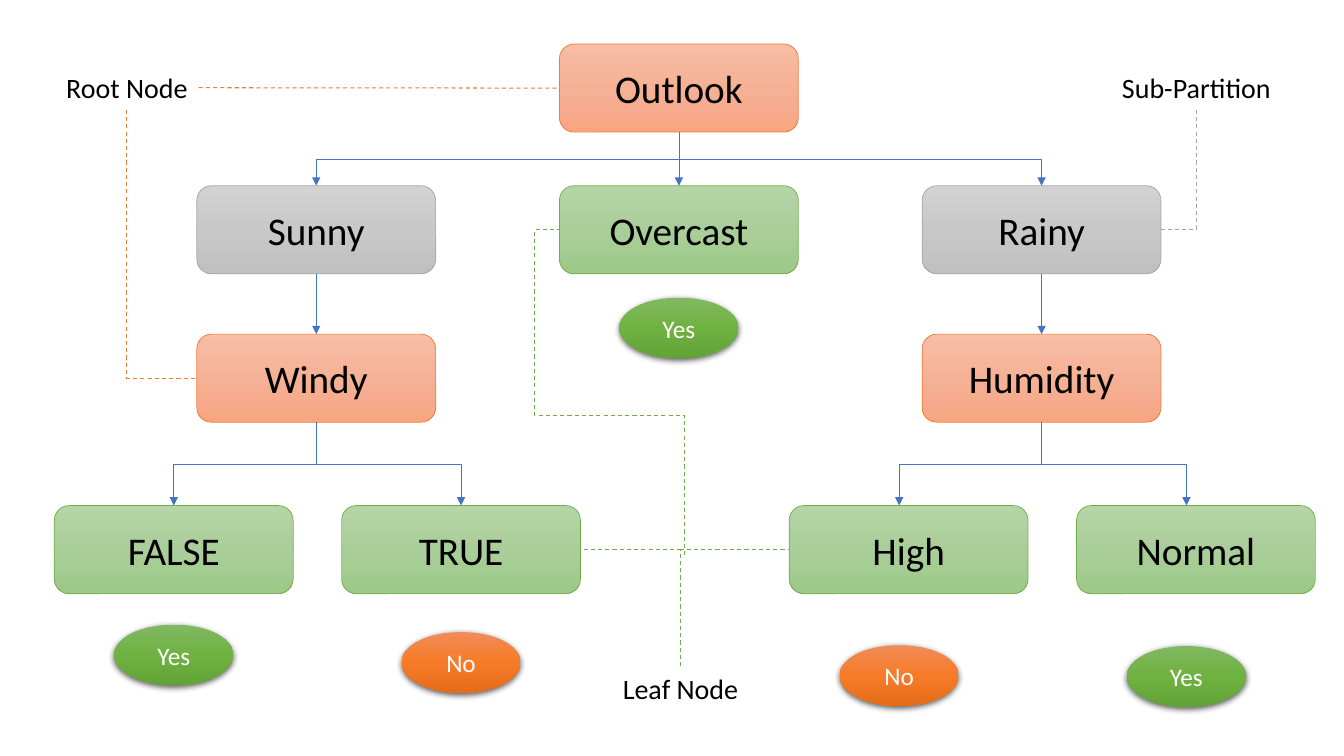
"""Decision tree slide for the weather example, with node-type annotations."""
import copy

from lxml import etree
from pptx import Presentation
from pptx import util as u
from pptx.dml.color import RGBColor
from pptx.enum import dml, shapes, text
from pptx.oxml.ns import qn

BLUE, ORANGE, GREY, GREEN = "4472C4", "ED7D31", "A5A5A5", "70AD47"
NODE_FILLS = {
    ORANGE: ("F7BDA5", "F5B196", "F8A582"),
    GREY: ("D2D2D2", "C8C8C8", "C0C0C0"),
    GREEN: ("B5D5A7", "AACE9A", "9CC987"),
}
ANSWER_FILLS = {
    "Yes": ("81B861", "6FB242", "62A336"),
    "No": ("F18C57", "F67B28", "E56C19"),
}


def rgb(value):
    return RGBColor.from_string(value)


def port(sp, side):
    """Return the middle of a side: 0 top, 1 left, 2 bottom, 3 right."""
    fx, fy = ((0.5, 0), (0, 0.5), (0.5, 1), (1, 0.5))[side]
    return sp.left + int(sp.width * fx), sp.top + int(sp.height * fy)


class TreeSlide:
    """Draws decision tree elements on one slide in a shared style."""

    font = "Calibri"
    node_size = (6.02, 2.22)
    answer_size = (3.0, 1.53)

    def __init__(self, prs):
        self.s = prs.slides.add_slide(prs.slide_layouts[6])

    def set_text(self, sp, words, size, color):
        tf = sp.text_frame
        tf.text = words
        p = tf.paragraphs[0]
        p.alignment = text.PP_ALIGN.CENTER
        p.font.name = self.font
        p.font.size = u.Pt(size)
        p.font.color.rgb = rgb(color)
        return tf

    def box(self, kind, words, center, top, size, colors, font_size, color):
        width, height = size
        sp = self.s.shapes.add_shape(kind, u.Cm(center - width / 2), u.Cm(top), u.Cm(width), u.Cm(height))
        sp.shadow.inherit = False
        sp.fill.gradient()
        sp.fill.gradient_angle = 270
        stops = sp._element.spPr.find(qn("a:gradFill")).find(qn("a:gsLst"))
        stops.insert(1, copy.deepcopy(stops[0]))
        for stop, value, position in zip(sp.fill.gradient_stops, colors, (0, 0.5, 1)):
            stop.color.rgb = rgb(value)
            stop.position = position
        tf = self.set_text(sp, words, font_size, color)
        tf.vertical_anchor = text.MSO_ANCHOR.MIDDLE
        return sp

    def node(self, words, center, top, color):
        sp = self.box(shapes.MSO_SHAPE.ROUNDED_RECTANGLE, words, center, top,
                      self.node_size, NODE_FILLS[color], 28, "000000")
        sp.line.color.rgb = rgb(color)
        sp.line.width = u.Pt(0.5)
        return sp

    def answer(self, words, center, top):
        sp = self.box(shapes.MSO_SHAPE.OVAL, words, center, top,
                      self.answer_size, ANSWER_FILLS[words], 18, "FFFFFF")
        sp.line.fill.background()
        effects = sp._element.spPr.find(qn("a:effectLst"))
        shadow = etree.SubElement(effects, qn("a:outerShdw"), blurRad="57150", dist="19050",
                                  dir="5400000", algn="ctr", rotWithShape="0")
        black = etree.SubElement(shadow, qn("a:srgbClr"), val="000000")
        etree.SubElement(black, qn("a:alpha"), val="63000")

    def label(self, words, center, top, width):
        sp = self.s.shapes.add_textbox(u.Cm(center - width / 2), u.Cm(top), u.Cm(width), u.Cm(1.12))
        tf = self.set_text(sp, words, 20, "000000")
        tf.word_wrap = False
        tf.auto_size = text.MSO_AUTO_SIZE.SHAPE_TO_FIT_TEXT
        return sp

    def style_line(self, cxn, color, arrow):
        cxn.line.color.rgb = rgb(color)
        cxn.line.width = u.Pt(0.5 if arrow else 0.75)
        spPr = cxn._element.spPr
        if arrow:
            etree.SubElement(spPr.find(qn("a:ln")), qn("a:tailEnd"), type="triangle")
        else:
            cxn.line.dash_style = dml.MSO_LINE.DASH
        etree.SubElement(spPr, qn("a:effectLst"))

    def straight(self, start, end, color=BLUE, arrow=True):
        cxn = self.s.shapes.add_connector(shapes.MSO_CONNECTOR.STRAIGHT, *port(*start), *port(*end))
        cxn.begin_connect(*start)
        cxn.end_connect(*end)
        self.style_line(cxn, color, arrow)

    def elbow(self, start, end, color=BLUE, arrow=True, preset="bentConnector3", adjust=()):
        """Draw a bent connector that leaves its start vertically."""
        (x1, y1), (x2, y2) = start, end
        cx, cy = (x1 + x2) // 2, (y1 + y2) // 2
        dx, dy = (x2 - x1) // 2, (y2 - y1) // 2
        cxn = self.s.shapes.add_connector(shapes.MSO_CONNECTOR.ELBOW, cx - dy, cy + dx, cx + dy, cy - dx)
        spPr = cxn._element.spPr
        spPr.find(qn("a:xfrm")).set("rot", "5400000")
        geometry = spPr.find(qn("a:prstGeom"))
        geometry.set("prst", preset)
        for i, value in enumerate(adjust, 1):
            etree.SubElement(geometry.find(qn("a:avLst")), qn("a:gd"),
                             name=f"adj{i}", fmla=f"val {round(value * 100000)}")
        self.style_line(cxn, color, arrow)


def main():
    prs = Presentation()
    prs.slide_width, prs.slide_height = u.Cm(33.87), u.Cm(19.05)
    tree = TreeSlide(prs)

    middle, step = 17.11, 9.14
    left, right = middle - step, middle + step
    rows = (1.11, 4.68, 8.42, 12.74)

    outlook = tree.node("Outlook", middle, rows[0], ORANGE)
    sunny = tree.node("Sunny", left, rows[1], GREY)
    overcast = tree.node("Overcast", middle, rows[1], GREEN)
    rainy = tree.node("Rainy", right, rows[1], GREY)
    windy = tree.node("Windy", left, rows[2], ORANGE)
    humidity = tree.node("Humidity", right, rows[2], ORANGE)
    tree.node("FALSE", 4.38, rows[3], GREEN)
    true = tree.node("TRUE", 11.62, rows[3], GREEN)
    high = tree.node("High", 22.9, rows[3], GREEN)
    tree.node("Normal", 30.14, rows[3], GREEN)

    for child in (sunny, rainy):
        tree.elbow(port(outlook, 2), port(child, 0))
    for parent, child in ((outlook, overcast), (sunny, windy), (rainy, humidity)):
        tree.straight((parent, 2), (child, 0))
    for parent, targets in ((windy, (4.38, 11.62)), (humidity, (22.66, 29.9))):
        for x in targets:
            tree.elbow(port(parent, 2), (u.Cm(x), u.Cm(rows[3])))

    for words, center, top in (("Yes", middle, 7.5), ("Yes", 4.38, 15.74), ("Yes", 29.9, 16.28),
                               ("No", 11.62, 15.93), ("No", 22.66, 16.26)):
        tree.answer(words, center, top)

    root = tree.label("Root Node", 3.2, 1.65, 3.61)
    partition = tree.label("Sub-Partition", 30.15, 1.65, 4.32)
    leaf = tree.label("Leaf Node", 17.15, 16.79, 3.45)

    tree.straight((root, 3), (outlook, 1), ORANGE, False)
    for note, side, target, target_side, color in (
            (root, 2, windy, 1, ORANGE), (partition, 2, rainy, 3, GREY),
            (leaf, 0, high, 1, GREEN), (leaf, 0, true, 3, GREEN)):
        tree.elbow(port(note, side), port(target, target_side), color, False, "bentConnector2")
    tree.elbow((u.Cm(17.25), u.Cm(13.99)), port(overcast, 1), GREEN, False,
               "bentConnector4", (0.43, 1.2))

    prs.save("out.pptx")


if __name__ == "__main__":
    main()
